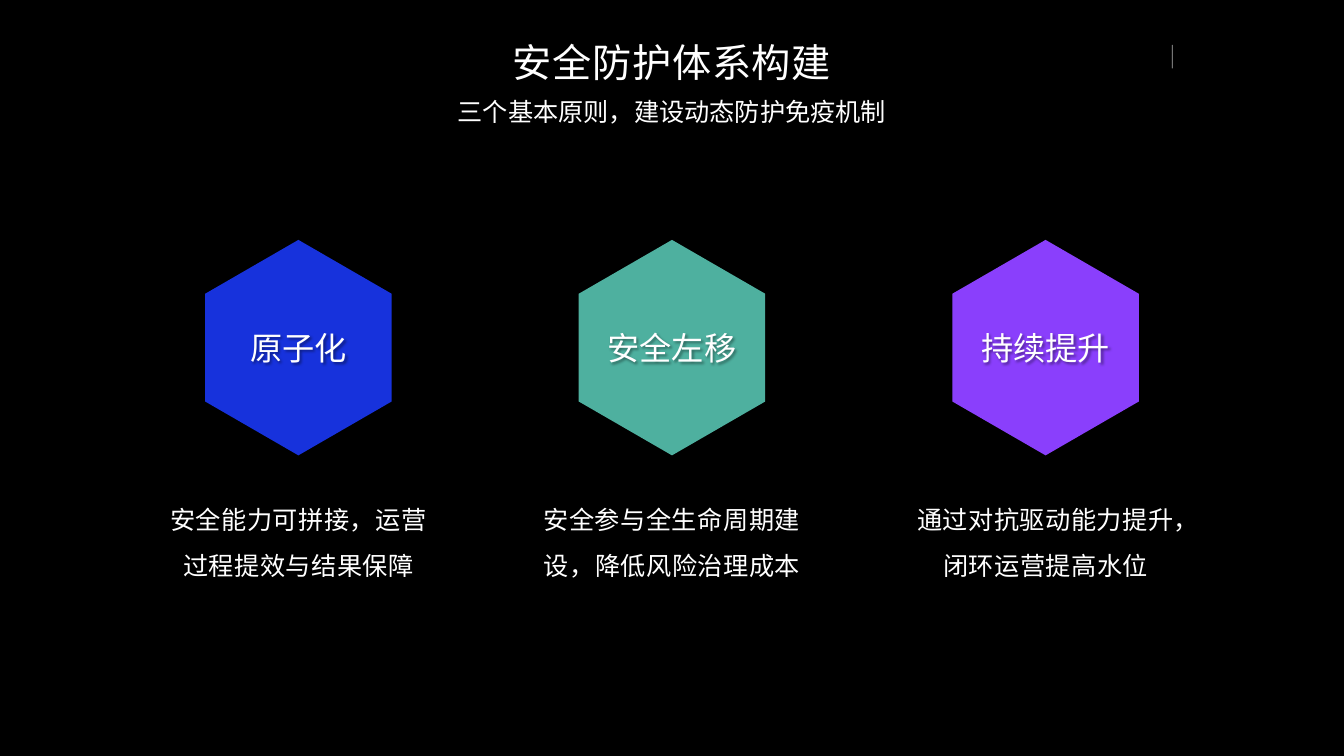
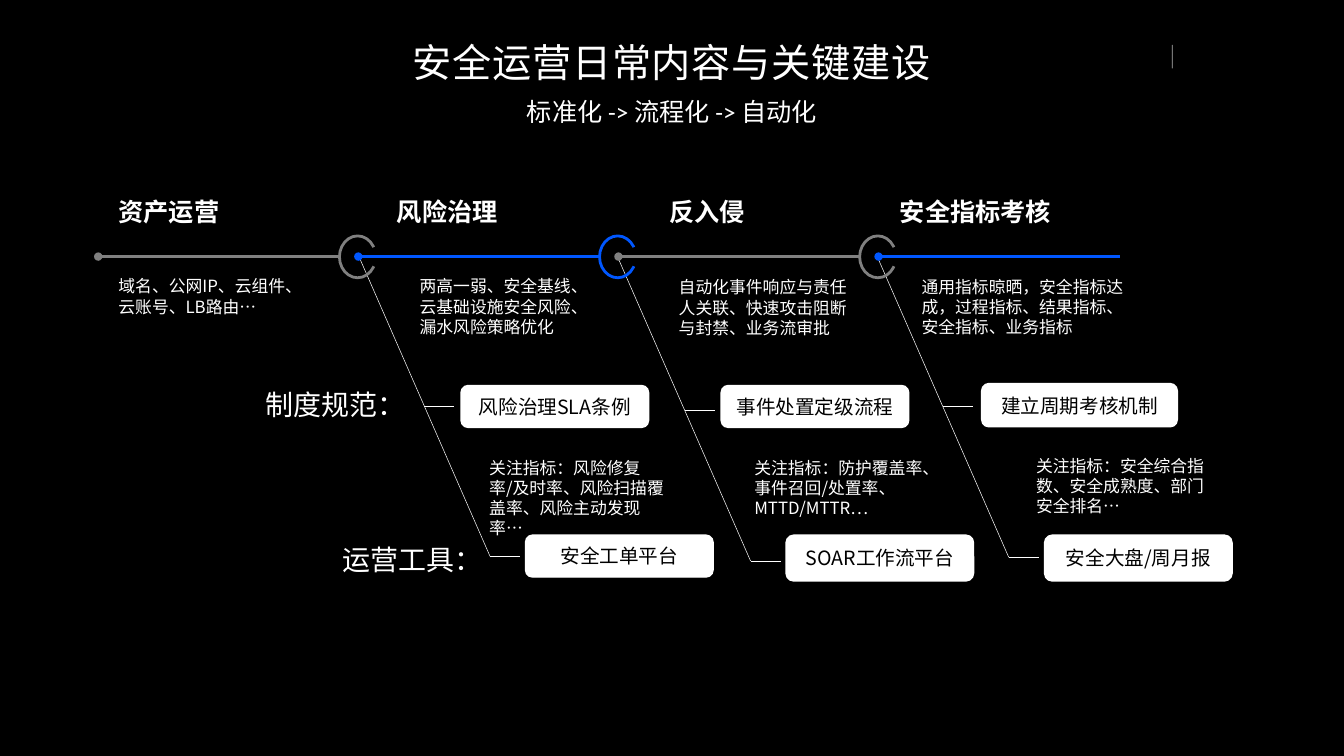
"""Build two dark slides on security principles and daily operations."""
from lxml.etree import SubElement
from pptx import Presentation
from pptx.dml.color import RGBColor
from pptx.enum.shapes import MSO_CONNECTOR, MSO_SHAPE
from pptx.enum.text import MSO_ANCHOR, MSO_AUTO_SIZE, PP_ALIGN
from pptx.oxml.ns import qn
from pptx.util import Cm, Pt

LINE = MSO_CONNECTOR.STRAIGHT
ARC, ROUND = MSO_SHAPE.ARC, MSO_SHAPE.ROUNDED_RECTANGLE
TOP, MID = MSO_ANCHOR.TOP, MSO_ANCHOR.MIDDLE
LEFT, CENTER = PP_ALIGN.LEFT, PP_ALIGN.CENTER
FIXED = MSO_AUTO_SIZE.NONE

BLACK, WHITE, GRAY, BLUE = "000000", "FFFFFF", "808080", "0057FF"
LATIN, HAN = "Calibri", "Noto Sans CJK SC"
WIDE, HIGH = 67.74, 38.1

HEADS = [
    ("安全防护体系构建", "三个基本原则，建设动态防护免疫机制"),
    ("安全运营日常内容与关键建设", "标准化 -> 流程化 -> 自动化"),
]
PILLARS = [
    ("原子化", "安全能力可拼接，运营过程提效与结果保障", "1732DC"),
    ("安全左移", "安全参与全生命周期建设，降低风险治理成本", "4EB09F"),
    ("持续提升", "通过对抗驱动能力提升，闭环运营提高水位", "8A3FFC"),
]
STAGES = [
    ("资产运营", (5.72, 9.75, 5.64, 1.8)),
    ("风险治理", (19.76, 9.75, 8.2, 1.8)),
    ("反入侵", (33.5, 9.78, 7.77, 1.8)),
    ("安全指标考核", (45.11, 9.75, 8.59, 1.8)),
]
NOTES = [
    ("域名、公网IP、云组件、云账号、LB路由…", (5.72, 13.79, 9.86, 2.31)),
    ("两高一弱、安全基线、云基础设施安全风险、漏水风险策略优化",
     (20.9, 13.79, 9.7, 3.33)),
    ("自动化事件响应与责任人关联、快速攻击阻断与封禁、业务流审批",
     (33.96, 13.84, 9.45, 3.33)),
    ("通用指标晾晒，安全指标达成，过程指标、结果指标、安全指标、业务指标",
     (46.2, 13.82, 10.9, 3.33)),
    ("关注指标：风险修复率/及时率、风险扫描覆盖率、风险主动发现率…",
     (24.41, 22.94, 9.7, 3.33)),
    ("关注指标：防护覆盖率、事件召回/处置率、MTTD/MTTR…",
     (37.77, 22.94, 10.29, 3.33)),
    ("关注指标：安全综合指数、安全成熟度、部门安全排名…",
     (51.97, 22.83, 9.7, 3.33)),
]
ROWS = [
    ("制度规范：", (13.13, 19.38, 7.8, 1.96)),
    ("运营工具：", (17.02, 27.23, 9.02, 1.96)),
]
CARDS = [
    ("风险治理SLA条例", (23.24, 19.43, 9.45, 2.11)),
    ("事件处置定级流程", (36.35, 19.43, 9.45, 2.11)),
    ("建立周期考核机制", (49.48, 19.33, 9.86, 2.18)),
    ("安全工单平台", (26.49, 26.97, 9.45, 2.11)),
    ("SOAR工作流平台", (39.62, 26.97, 9.45, 2.31)),
    ("安全大盘/周月报", (52.65, 26.97, 9.45, 2.31)),
]
BRANCHES = [(18.06, 12.86), (31.19, 13.09), (44.2, 12.9)]


def paint(fmt, color):
    fmt.solid()
    fmt.fore_color.rgb = RGBColor.from_string(color)


def place(shape, box):
    shape.left, shape.top, shape.width, shape.height = map(Cm, box)


def write(shape, text, size, color=WHITE, face=HAN, align=LEFT, anchor=TOP,
          bold=False, pad=None, track=0, lead=1.0, wrap=True):
    frame = shape.text_frame
    frame.text = text
    frame.word_wrap, frame.auto_size = wrap, FIXED
    frame.vertical_anchor = anchor
    if pad is not None:
        frame.margin_left = frame.margin_right = Cm(pad)
        frame.margin_top = frame.margin_bottom = Cm(pad)
    para = frame.paragraphs[0]
    para.alignment, para.line_spacing = align, lead
    para.space_before = Pt(0)
    props = para._p.get_or_add_pPr()
    if shape.is_placeholder:
        props.set("marL", "0")
        props.set("indent", "0")
        SubElement(props, qn("a:buNone"))
    font = para.font
    font.name, font.size, font.bold = face, Pt(size), bold
    paint(font.fill, color)
    style = props.find(qn("a:defRPr"))
    style.set("spc", str(round(track * 100)))
    SubElement(style, qn("a:ea"), typeface=HAN)


def label(slide, text, box, size, **look):
    shape = slide.shapes.add_textbox(*map(Cm, box))
    write(shape, text, size, **look)
    return shape


def rule(slide, start, end, color=WHITE, width=0.75, dot=False, alpha=None):
    line = slide.shapes.add_connector(LINE, *map(Cm, start + end))
    paint(line.line.fill, color)
    line.line.width = Pt(width)
    props = line._element.spPr
    stroke = props.find(qn("a:ln"))
    if dot:
        SubElement(stroke, qn("a:headEnd"), type="oval")
    if alpha:
        tint = stroke.find(".//" + qn("a:srgbClr"))
        SubElement(tint, qn("a:alpha"), val=str(alpha * 1000))
    SubElement(props, qn("a:effectLst"))


def glow(shape):
    props = shape._element.spPr
    effect = SubElement(props, qn("a:effectLst"))
    shade = SubElement(effect, qn("a:outerShdw"), blurRad="50800",
                       dist="38100", dir="2700000", rotWithShape="0")
    tint = SubElement(shade, qn("a:srgbClr"), val=BLACK)
    SubElement(tint, qn("a:alpha"), val="40000")


def start(deck, title, sub):
    slide = deck.slides.add_slide(deck.slide_layouts[1])
    rule(slide, (59.08, 3.45), (59.08, 2.26), width=1, alpha=70)
    head, body = slide.placeholders
    place(head, (12.7, 1.83, 42.33, 2.57))
    place(body, (12.7, 4.14, 42.33, 2.95))
    write(head, title, 56, face=LATIN, align=CENTER, anchor=MID,
          pad=0.08, track=1.1)
    write(body, sub, 36, face=LATIN, align=CENTER, anchor=MID, pad=0.25)
    return slide


def hexagon(slide, mid, color, top=12.09, wide=9.4, high=10.86):
    left, right = mid - wide / 2, mid + wide / 2
    upper, lower = top + high / 4, top + high * 3 / 4
    points = [(right, upper), (right, lower), (mid, top + high),
              (left, lower), (left, upper)]
    path = slide.shapes.build_freeform(Cm(mid), Cm(top))
    path.add_line_segments([(Cm(x), Cm(y)) for x, y in points])
    shape = path.convert_to_shape()
    shape.shadow.inherit = False
    paint(shape.fill, color)
    shape.line.fill.background()


def draw_pillars(slide):
    for i, (name, text, color) in enumerate(PILLARS):
        mid = WIDE / 2 + (i - 1) * 18.83
        hexagon(slide, mid, color)
        glow(label(slide, name, (mid - 3.32, 14.86, 6.63, 5.31), 46,
                   face=LATIN, align=CENTER, anchor=MID, pad=0.05))
        label(slide, text, (mid - 6.98, 24.59, 13.97, 4.55), 36,
              face=LATIN, align=CENTER, pad=0.08, track=0.7, lead=1.5)


def draw_track(slide, y=12.93):
    tones = [GRAY, BLUE] * 2
    for i, tone in enumerate(tones):
        x = 4.95 + i * 13.11
        rule(slide, (x, y), (x + 12.17, y), tone, 4, dot=True)
        if i:
            ring = slide.shapes.add_shape(
                ARC, *map(Cm, (x - 0.95, 11.89, 1.83, 2.11)))
            ring.shadow.inherit = False
            ring.adjustments[0], ring.adjustments[1] = 18.21, 197.52
            ring.fill.background()
            paint(ring.line.fill, tones[i - 1])
            ring.line.width = Pt(4)


def draw_branches(slide):
    for x, y in BRANCHES:
        for _ in ROWS:
            bend = x + 3.32, y + 7.59
            rule(slide, (x, y), bend)
            x, y = bend
            rule(slide, bend, (x + 1.52, y))


def draw_card(slide, text, box):
    card = slide.shapes.add_shape(ROUND, *map(Cm, box))
    card.shadow.inherit = False
    paint(card.fill, WHITE)
    paint(card.line.fill, WHITE)
    card.line.width = Pt(2)
    write(card, text, 28, BLACK, align=CENTER, anchor=MID)


def draw_stages(slide):
    draw_branches(slide)
    draw_track(slide)
    for i, (text, box) in enumerate(STAGES):
        label(slide, text, box, 36, bold=True, wrap=i > 0)
    for text, box in NOTES:
        label(slide, text, box, 24)
    for text, box in ROWS:
        label(slide, text, box, 40)
    for text, box in CARDS:
        draw_card(slide, text, box)


def main():
    deck = Presentation()
    deck.slide_width, deck.slide_height = Cm(WIDE), Cm(HIGH)
    paint(deck.slide_master.background.fill, BLACK)
    for head, draw in zip(HEADS, (draw_pillars, draw_stages)):
        draw(start(deck, *head))
    deck.save("out.pptx")


if __name__ == "__main__":
    main()
